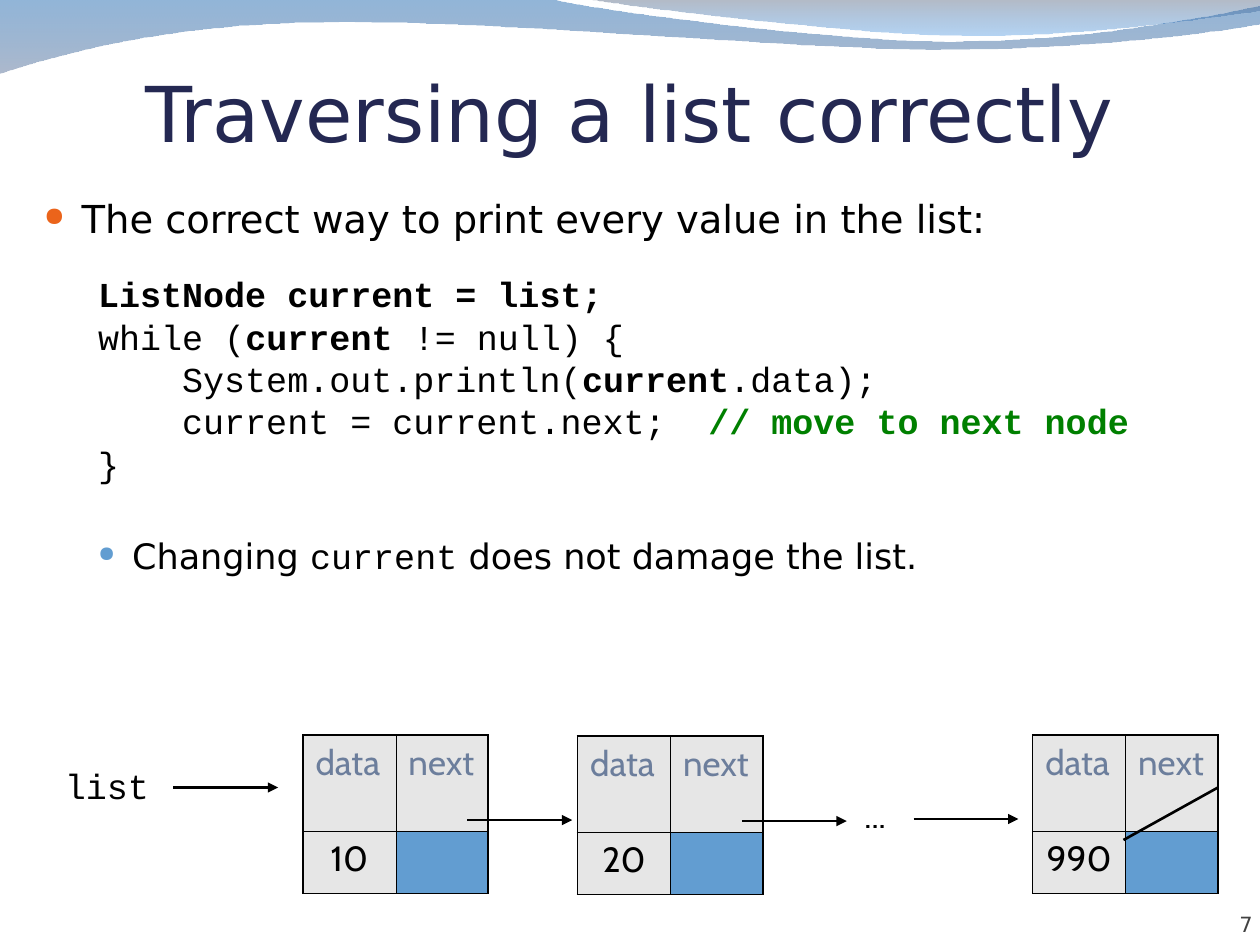
from lxml import etree
from pptx import Presentation
from pptx import util as u
from pptx.dml.color import RGBColor
from pptx.enum import shapes, text
from pptx.oxml import parse_xml
from pptx.oxml.ns import nsdecls, qn

COLORS = {
    "black": "000000", "title": "242852", "number": "424242", "comment": "008000",
    "bullet": "EB641B", "subbullet": "629DD1", "label": "6C7E9C",
    "cell": "E6E6E6", "pointer": "629DD1",
}
SANS, CODE, CABIN = "DejaVu Sans", "Courier New", "Cabin"
W, H = u.Inches(10), u.Inches(7.5)
UNIT = W / 120  # the slide is a grid of 120 columns by 90 rows


def grid(*values):
    return [u.Emu(round(v * UNIT)) for v in values]


def rgb(name):
    return RGBColor.from_string(COLORS[name])


def add_run(p, words, size, font, color="black", bold=False):
    r = p.add_run()
    r.text = words
    r.font.size, r.font.name, r.font.bold = u.Pt(size), font, bold
    r.font.color.rgb = rgb(color)


def set_frame(tf, margins, wrap=True, anchor=text.MSO_ANCHOR.TOP):
    tf.word_wrap, tf.vertical_anchor = wrap, anchor
    tf.margin_left, tf.margin_top, tf.margin_right, tf.margin_bottom = map(u.Inches, margins)


def add_text(s, box, margins=(0.1, 0.05, 0.1, 0.05), **frame):
    tf = s.shapes.add_textbox(*grid(*box)).text_frame
    set_frame(tf, margins, **frame)
    return tf


def add_wave(s, start, segments, stops):
    """Segments hold one point (line) or three (curve), in 1/1000 of the width."""
    builder = s.shapes.build_freeform(*start, scale=W / 1000)
    builder.add_line_segments([point for seg in segments for point in seg], close=True)
    sp = builder.convert_to_shape()
    sp.shadow.inherit = False
    sp.line.fill.background()
    sp.fill.background()

    # Join each three points of a curve into one Bézier segment
    lines = iter(list(sp._element.iter(qn("a:lnTo"))))
    for seg in segments:
        parts = [next(lines) for _ in seg]
        if len(seg) == 3:
            curve = etree.Element(qn("a:cubicBezTo"))
            parts[0].addprevious(curve)
            for part in parts:
                curve.append(part[0])
                part.getparent().remove(part)

    # Translucent gradient from top to bottom
    gs = "".join(f'<a:gs pos="{pos * 1000}"><a:srgbClr val="{color}">'
                 f'<a:alpha val="{alpha * 1000}"/></a:srgbClr></a:gs>'
                 for pos, color, alpha in stops)
    gradient = parse_xml(f'<a:gradFill {nsdecls("a")} rotWithShape="1"><a:gsLst>{gs}</a:gsLst>'
                         '<a:lin ang="5400000" scaled="0"/></a:gradFill>')
    no_fill = sp._element.spPr.find(qn("a:noFill"))
    no_fill.getparent().replace(no_fill, gradient)


def add_header(s):
    add_wave(s, (-1, 0), [
        [(440, 0)],
        [(476, 9), (664, 33), (758, 33)], [(853, 33), (958, 14), (1000, 5)],
        [(1001, 19)],
        [(983, 23), (870, 39), (746, 39)], [(622, 39), (382, 15), (257, 18)],
        [(129, 19), (46, 43), (-1, 58)],
    ], [(0, "0E5CA9", 45), (100, "687FA3", 55)])
    add_wave(s, (467, 0), [
        [(498, 5), (674, 27), (763, 28)], [(852, 30), (961, 14), (1000, 9)],
        [(1000, 0)],
    ], [(0, "576680", 45), (100, "046FDA", 30)])


def add_title(s, box, words):
    sp = s.shapes.title
    sp.left, sp.top, sp.width, sp.height = grid(*box)
    tf = sp.text_frame
    set_frame(tf, (0, 0.05, 0, 0), anchor=text.MSO_ANCHOR.BOTTOM)
    tf.auto_size = text.MSO_AUTO_SIZE.NONE
    p = tf.paragraphs[0]
    p.alignment = text.PP_ALIGN.CENTER
    add_run(p, words, 44, SANS, "title")


def set_indent(p, left, first, bullet=None, percent=100):
    pPr = p._p.get_or_add_pPr()
    pPr.set("marL", str(u.Inches(left)))
    pPr.set("indent", str(u.Inches(first)))
    if bullet:
        color = etree.SubElement(pPr, qn("a:buClr"))
        etree.SubElement(color, qn("a:srgbClr"), val=COLORS[bullet])
        etree.SubElement(pPr, qn("a:buSzPct"), val=str(percent * 1000))
        etree.SubElement(pPr, qn("a:buChar"), char="●")
    else:
        etree.SubElement(pPr, qn("a:buNone"))


def add_body(s, box):
    tf = add_text(s, box)
    p = tf.paragraphs[0]
    set_indent(p, 0.3, -0.3, "bullet", 69)
    add_run(p, "The correct way to print every value in the list:", 22, SANS)

    # Code: each run is (words, bold, color)
    code = [
        [("ListNode current = list;", True, "black")],
        [("while (", False, "black"), ("current", True, "black"),
         (" != null) {", False, "black")],
        [("    System.out.println(", False, "black"), ("current", True, "black"),
         (".data);", False, "black")],
        [("    current = current.next;  ", False, "black"),
         ("// move to next node", True, "comment")],
        [("}", False, "black")],
    ]
    for i, line in enumerate(code):
        p = tf.add_paragraph()
        p.level = 1
        set_indent(p, 0.7, -0.27)
        p.line_spacing, p.space_before = 0.8, u.Pt(5 if i else 22.5)
        for words, bold, color in line:
            add_run(p, words, 20, CODE, color, bold)

    # Remark
    p = tf.add_paragraph()
    p.level = 1
    set_indent(p, 0.7, -0.27, "subbullet", 62)
    p.space_before = u.Pt(29)
    for words, font in (("Changing ", SANS), ("current", CODE),
                        (" does not damage the list.", SANS)):
        add_run(p, words, 20, font)


def set_borders(cell, row, col):
    tcPr = cell._tc.get_or_add_tcPr()
    outer = {"L": col == 0, "R": col == 1, "T": row == 0, "B": row == 1}
    for i, (side, thick) in enumerate(outer.items()):
        tcPr.insert(i, parse_xml(
            f'<a:ln{side} {nsdecls("a")} w="{u.Pt(1.08 if thick else 0.45)}"><a:solidFill>'
            f'<a:srgbClr val="{COLORS["black"]}"/></a:solidFill></a:ln{side}>'))


def add_line(s, x1, y1, x2, y2, arrow=True):
    line = s.shapes.add_connector(shapes.MSO_CONNECTOR.STRAIGHT, *grid(x1, y1, x2, y2))
    line.line.color.rgb, line.line.width = rgb("black"), u.Pt(1.5)
    if arrow:
        etree.SubElement(line.line._get_or_add_ln(), qn("a:tailEnd"), type="triangle")
    etree.SubElement(line._element.spPr, qn("a:effectLst"))


def add_node(s, x, y, value, last=False):
    cols, rows = grid(8.85, 8.8), grid(9.2, 5.9)
    table = s.shapes.add_table(2, 2, *grid(x, y), sum(cols), sum(rows)).table
    table.first_row = table.horz_banding = False
    for i in range(2):
        table.columns[i].width, table.rows[i].height = cols[i], rows[i]
    for i, words in enumerate(("data", "next", value, "")):
        row, col = divmod(i, 2)
        cell = table.cell(row, col)
        cell.fill.solid()
        cell.fill.fore_color.rgb = rgb("cell" if words else "pointer")
        set_borders(cell, row, col)
        if words:
            p = cell.text_frame.paragraphs[0]
            if row:
                p.alignment = text.PP_ALIGN.CENTER
            add_run(p, words, 20, CABIN, "black" if row else "label")
    # Pointer to the next node, or the slash of a null pointer
    if last:
        add_line(s, x + 17.65, y + 5, x + 8.65, y + 10, arrow=False)
    else:
        add_line(s, x + 15.65, y + 8.1, x + 25.65, y + 8.1)


def add_list(s, y):
    add_run(add_text(s, (5, y + 2.2, 10.4, 5.3), wrap=False).paragraphs[0], "list", 20, CODE)
    add_line(s, 16.5, y + 5, 26.5, y + 5)
    add_node(s, 28.85, y, "10")
    add_node(s, 55, y + 0.1, "20")
    add_run(add_text(s, (81.15, y + 4.95, 5, 5.3), wrap=False).paragraphs[0], "...", 20, CABIN)
    add_line(s, 87, y + 8, 97, y + 8)
    add_node(s, 98.35, y, "990", last=True)


def add_number(s, box, words):
    p = add_text(s, box, (0, 0, 0, 0), anchor=text.MSO_ANCHOR.BOTTOM).paragraphs[0]
    p.alignment = text.PP_ALIGN.RIGHT
    add_run(p, words, 12, SANS, "number")


def main():
    prs = Presentation()
    prs.slide_width, prs.slide_height = W, H
    s = prs.slides.add_slide(prs.slide_layouts[5])
    add_header(s)
    add_title(s, (6, 5.76, 108, 9.24), "Traversing a list correctly")
    add_body(s, (3, 18, 117, 68))
    add_list(s, 70)
    add_number(s, (109.3, 84.4, 10, 4.8), "7")
    prs.save("out.pptx")


if __name__ == "__main__":
    main()
